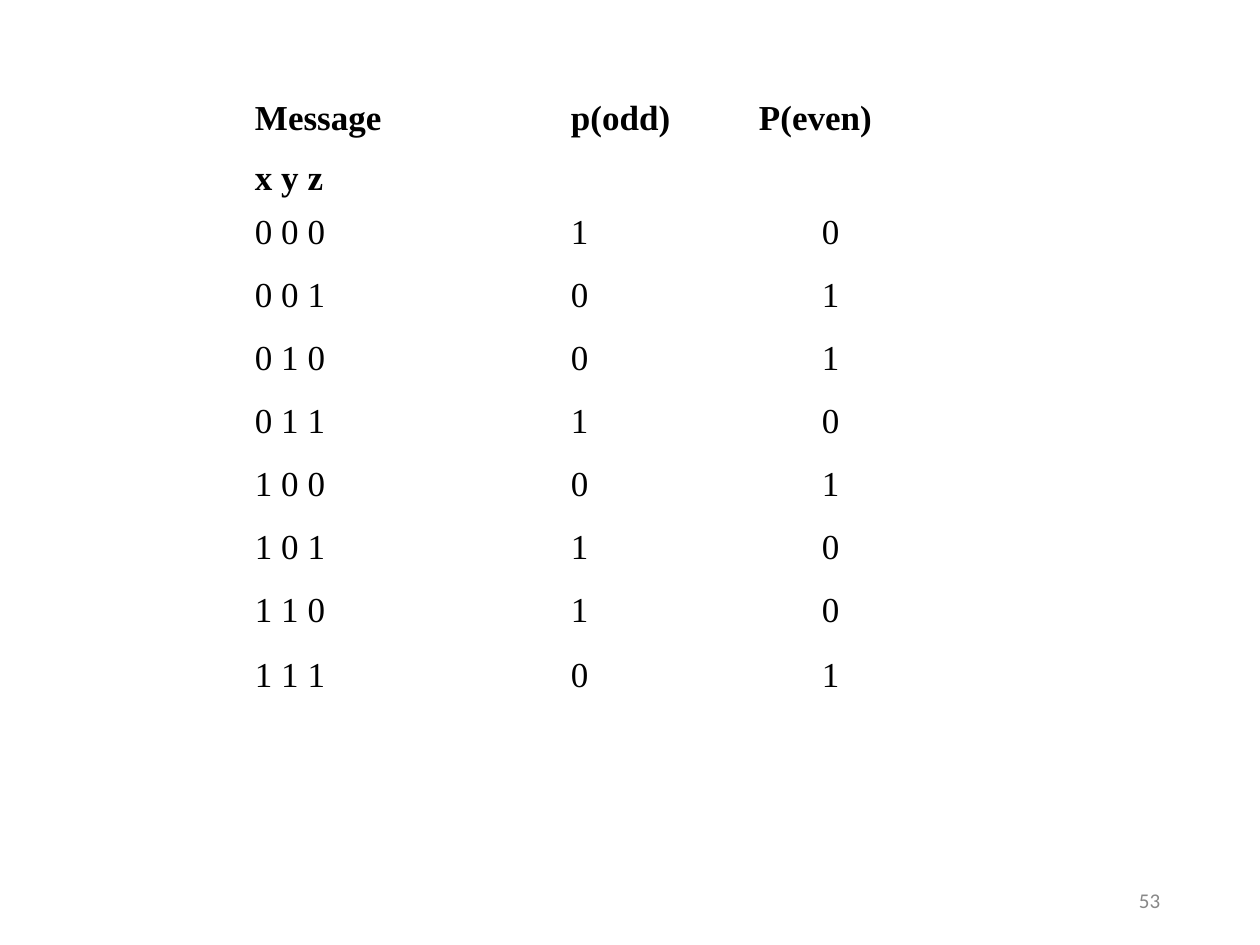
import itertools

import pptx
import pptx.dml.color
import pptx.util

Cm = pptx.util.Cm
Pt = pptx.util.Pt

COLORS = {"text": "000000", "page_number": "888888"}
COLUMN_WIDTHS = [4.55, 4.8, 3.28]
HEADER_INDENTS = [0.08, 1.9, 0.89]
BODY_INDENTS = [0.08, 1.9, 2.16]
HEADER_HEIGHT, ROW_HEIGHT, LAST_HEIGHT = 2.29, 1.27, 1.02
HEADERS = ["Message\nx y z", "p(odd)", "P(even)"]


def style_paragraph(paragraph, font_name, size, color, bold=False):
    paragraph.font.name = font_name
    paragraph.font.size = Pt(size)
    paragraph.font.bold = bold
    paragraph.font.color.rgb = pptx.dml.color.RGBColor.from_string(COLORS[color])


def clear_margins(frame):
    frame.margin_left = frame.margin_top = 0
    frame.margin_right = frame.margin_bottom = 0


def fill_cell(cell, text, indent, header):
    cell.fill.background()
    clear_margins(cell)
    cell.margin_left = Cm(indent)
    cell.text_frame.text = text
    for index, paragraph in enumerate(cell.text_frame.paragraphs):
        style_paragraph(paragraph, "Times New Roman", 20, "text", header)
        if not header:
            paragraph.space_before = Pt(4.8)
        elif index == 0:
            paragraph.line_spacing = Pt(21.9)
        else:
            paragraph.space_before = Pt(12)


def parity_rows():
    for bits in itertools.product((0, 1), repeat=3):
        even = sum(bits) % 2
        yield [" ".join(map(str, bits)), str(1 - even), str(even)]


def add_parity_table(slide):
    rows = [HEADERS, *parity_rows()]
    heights = [HEADER_HEIGHT] + [ROW_HEIGHT] * (len(rows) - 2) + [LAST_HEIGHT]
    table = slide.shapes.add_table(
        len(rows), len(HEADERS), Cm(5.06), Cm(2.01),
        Cm(sum(COLUMN_WIDTHS)), Cm(sum(heights)),
    ).table
    table.first_row = False
    table.horz_banding = False
    for column, width in zip(table.columns, COLUMN_WIDTHS):
        column.width = Cm(width)
    for row_index, (values, height) in enumerate(zip(rows, heights)):
        table.rows[row_index].height = Cm(height)
        header = row_index == 0
        indents = HEADER_INDENTS if header else BODY_INDENTS
        for column_index, (value, indent) in enumerate(zip(values, indents)):
            fill_cell(table.cell(row_index, column_index), value, indent, header)
    for paragraph in (cell.text_frame.paragraphs[0] for cell in table.rows[len(rows) - 1].cells):
        paragraph.line_spacing = Pt(23.4)


def add_page_number(slide, number):
    frame = slide.shapes.add_textbox(Cm(22.86), Cm(17.96), Cm(0.64), Cm(0.5)).text_frame
    frame.word_wrap = True
    clear_margins(frame)
    frame.margin_left = Cm(0.1)
    frame.text = number
    paragraph = frame.paragraphs[0]
    paragraph.line_spacing = Pt(12.4)
    style_paragraph(paragraph, "Calibri", 12, "page_number")


def main():
    presentation = pptx.Presentation()
    presentation.slide_width = Cm(25.4)
    presentation.slide_height = Cm(19.05)
    slide = presentation.slides.add_slide(presentation.slide_layouts[6])
    add_page_number(slide, "53")
    add_parity_table(slide)
    presentation.save("out.pptx")


if __name__ == "__main__":
    main()
